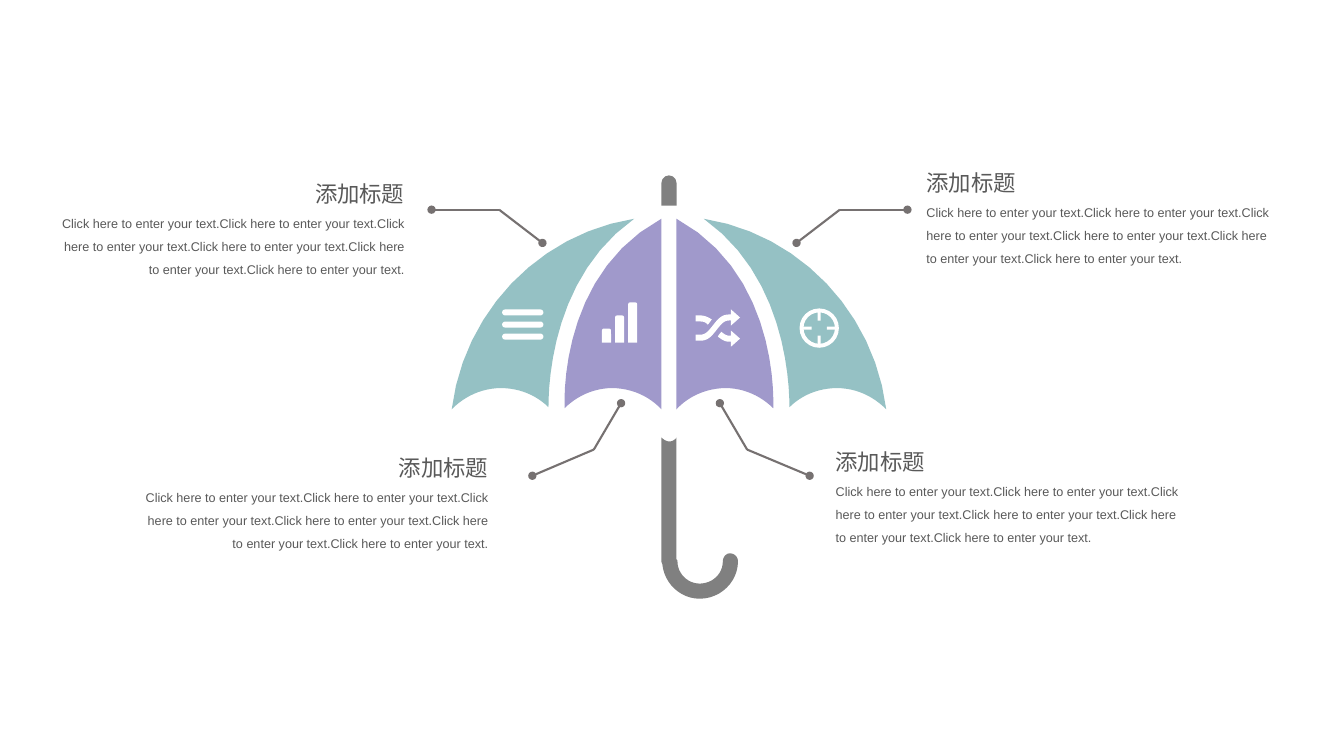
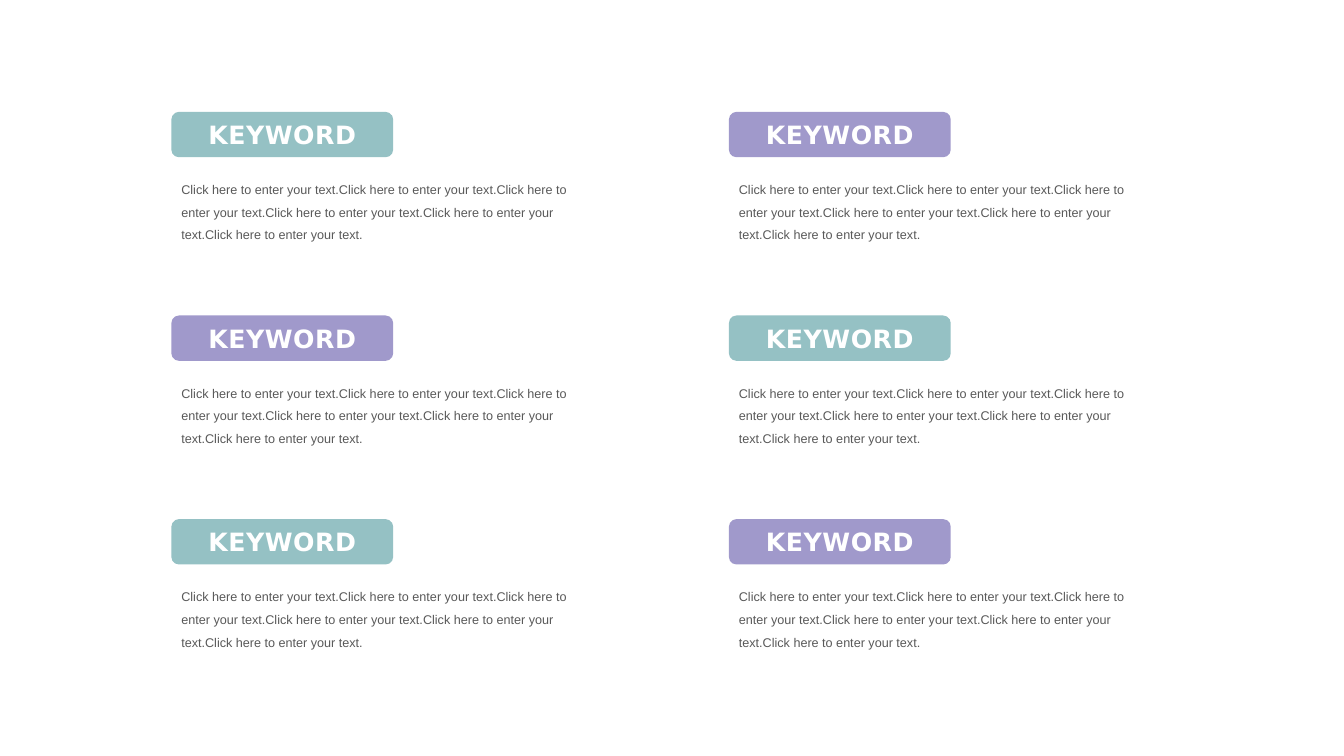
from dataclasses import dataclass
from itertools import product

from lxml import etree
from pptx import Presentation
from pptx.dml.color import RGBColor
from pptx.enum.shapes import MSO_CONNECTOR, MSO_SHAPE
from pptx.enum.text import MSO_ANCHOR, PP_ALIGN
from pptx.oxml.ns import qn
from pptx.util import Pt

PX = 9144  # 100 px to the inch
STEPS = 12  # line segments for each curve
LEFT, MID, RIGHT = PP_ALIGN.LEFT, PP_ALIGN.CENTER, PP_ALIGN.RIGHT
ROUND = MSO_SHAPE.ROUNDED_RECTANGLE
DOME = MSO_SHAPE.ROUND_2_SAME_RECTANGLE
RECT, DONUT = MSO_SHAPE.RECTANGLE, MSO_SHAPE.DONUT
LINE = MSO_CONNECTOR.STRAIGHT


@dataclass(frozen=True)
class Theme:
    teal: str = "95C1C4"
    violet: str = "A099CB"
    grey: str = "808080"
    rule: str = "767171"
    ink: str = "595959"
    white: str = "FFFFFF"
    head: str = "Calibri"
    body: str = "Arial"
    label: str = "DejaVu Sans"
    head_size: int = 16
    body_size: int = 9
    label_size: int = 18
    rule_size: float = 1.5


T = Theme()
TITLE = "添加标题"
BODY = "Click here to enter your text." * 6

# Outlines: a start point, then lines (x, y) and curves (two controls, end)
OUTER = [(49, 211), (30, 211, 13, 219, 0, 232), (12, 136, 86, 58, 181, 43),
         (102, 99, 96, 200, 96, 230), (84, 218, 67, 211, 49, 211)]
INNER = [(159, 211), (141, 211, 124, 219, 112, 231),
         (111, 202, 116, 93, 208, 43), (208, 232),
         (196, 219, 178, 211, 159, 211)]
HANDLE = [(216, 264), (213, 264, 210, 262, 208, 260), (208, 383),
          (208, 384, 209, 385, 209, 386), (211, 405, 227, 420, 246, 420),
          (267, 420, 284, 403, 284, 383), (284, 379, 281, 375, 276, 375),
          (272, 375, 269, 379, 269, 383), (269, 395, 259, 405, 246, 405),
          (234, 405, 224, 395, 224, 383), (224, 382, 224, 382, 223, 381),
          (223, 260), (222, 262, 219, 264, 216, 264)]
SHUFFLE = [
    [(35, 26), (33, 26), (30, 26, 28, 24, 25, 22), (25, 22, 25, 22, 25, 23),
     (24, 24, 23, 25, 22, 27), (25, 29, 28, 32, 33, 32), (35, 32), (35, 37),
     (44, 29), (35, 21)],
    [(12, 15), (12, 15, 13, 14, 13, 14), (14, 13, 15, 11, 16, 10),
     (13, 8, 9, 6, 5, 6), (0, 6), (0, 12), (5, 12), (8, 12, 10, 13, 12, 15)],
    [(33, 11), (35, 11), (35, 16), (44, 8), (35, 0), (35, 5), (33, 5),
     (25, 5, 21, 11, 17, 16), (13, 21, 10, 25, 5, 25), (0, 25), (0, 31),
     (5, 31), (13, 31, 17, 25, 21, 20), (25, 15, 28, 11, 33, 11)]]


def paint(shape, color):
    shape.shadow.inherit = False
    shape.fill.solid()
    shape.fill.fore_color.rgb = RGBColor.from_string(color)
    shape.line.fill.background()


def block(slide, kind, box, color, *adjust):
    shape = slide.shapes.add_shape(kind, *(v * PX for v in box))
    for i, value in enumerate(adjust):
        shape.adjustments[i] = value
    paint(shape, color)
    return shape


def trace(path):
    """Turn an outline into points, with each curve cut into short lines."""
    points = [path[0]]
    for step in path[1:]:
        if len(step) == 2:
            points.append(step)
            continue
        knots = [points[-1], step[:2], step[2:4], step[4:]]
        for i in range(1, STEPS + 1):
            t = i / STEPS
            u = 1 - t
            parts = (u ** 3, 3 * u * u * t, 3 * u * t * t, t ** 3)
            points.append(tuple(sum(p * k[axis] for p, k in zip(parts, knots))
                                for axis in (0, 1)))
    return points


def outline(slide, x, y, paths, color):
    pen = None
    for path in paths:
        first, *rest = [((x + a) * PX, (y + b) * PX) for a, b in trace(path)]
        if pen:
            pen.move_to(*first)
        else:
            pen = slide.shapes.build_freeform(*first)
        pen.add_line_segments(rest, close=True)
    paint(pen.convert_to_shape(), color)


def flip(path, width):
    return [tuple(v if i % 2 else width - v for i, v in enumerate(step))
            for step in path]


def style(para, font, size, color, align, bold=False):
    para.alignment = align
    para.font.name = font
    para.font.size = Pt(size)
    para.font.bold = bold
    para.font.color.rgb = RGBColor.from_string(color)


def write(slide, box, text, font, size, align, wrap=True, lead=1.0):
    frame = slide.shapes.add_textbox(*(v * PX for v in box)).text_frame
    frame.word_wrap = wrap
    para = frame.paragraphs[0]
    para.text = text
    para.line_spacing = lead
    style(para, font, size, T.ink, align)


def body(slide, x, y, width, align=LEFT):
    write(slide, (x, y, width, 78), BODY, T.body, T.body_size, align, lead=1.5)


def note(slide, x, y, align):
    width, head = 368, 110
    start = x + width - head if align == RIGHT else x
    write(slide, (start, y, head, 37), TITLE, T.head, T.head_size, align,
          wrap=False)
    body(slide, x, y + 28, width, align)


def leader(slide, points):
    """Draw a bent line with a dot at each end."""
    for start, stop, end in zip(points, points[1:], ("headEnd", "tailEnd")):
        rule = slide.shapes.add_connector(
            LINE, *(v * PX for v in start + stop))
        rule.line.width = Pt(T.rule_size)
        rule.line.color.rgb = RGBColor.from_string(T.rule)
        props = rule._element.spPr
        etree.SubElement(props.find(qn("a:ln")), qn("a:" + end), type="oval")
        etree.SubElement(props, qn("a:effectLst"))


def menu(slide, x, y):
    for row in range(3):
        block(slide, ROUND, (x, y + 12 * row, 41, 6), T.white, 0.5)


def bars(slide, x, y):
    for i in range(3):
        tall = 14 + 13 * i
        block(slide, DOME, (x + 13 * i, y + 40 - tall, 9, tall), T.white, 0.22)


def shuffle(slide, x, y):
    outline(slide, x, y, SHUFFLE, T.white)


def target(slide, x, y):
    block(slide, DONUT, (x, y, 39, 39), T.white, 0.1)
    for gap in (3, 27):
        block(slide, RECT, (x + 18, y + gap, 3, 9), T.white)
        block(slide, RECT, (x + gap, y + 18, 9, 3), T.white)


def canopy(slide, x, y, width):
    for path, color in ((OUTER, T.teal), (INNER, T.violet)):
        for side in (path, flip(path, width)):
            outline(slide, x, y, [side], color)
    outline(slide, x, y, [HANDLE], T.grey)
    block(slide, DOME, (x + 208, y, 15, 30), T.grey, 0.5)
    for icon, left, top in ((menu, 50, 133), (bars, 149, 126),
                            (shuffle, 242, 133), (target, 345, 132)):
        icon(slide, x + left, y + top)


def umbrella(slide):
    for points in (((790, 241), (833, 208), (900, 208)),
                   ((538, 241), (495, 208), (428, 208)),
                   ((714, 400), (741, 446), (803, 472)),
                   ((616, 400), (589, 446), (528, 472))):
        leader(slide, points)
    canopy(slide, 448, 174, 431)
    for x, y, align in ((909, 163, LEFT), (819, 440, LEFT),
                        (126, 446, RIGHT), (43, 174, RIGHT)):
        note(slide, x, y, align)


def card(slide, x, y, color):
    tag = block(slide, ROUND, (x, y, 220, 45), color)
    tag.text_frame.vertical_anchor = MSO_ANCHOR.MIDDLE
    para = tag.text_frame.paragraphs[0]
    para.text = "KEYWORD"
    style(para, T.label, T.label_size, T.white, MID, bold=True)
    para.runs[0]._r.get_or_add_rPr().set("spc", "40")
    body(slide, x, y + 57, 402)


def cards(slide):
    for col, row in product(range(2), range(3)):
        color = (T.teal, T.violet)[(col + row) % 2]
        card(slide, 170 + 553 * col, 111 + 202 * row, color)


def main():
    deck = Presentation()
    deck.slide_width, deck.slide_height = 1333 * PX, 750 * PX
    for build in (umbrella, cards):
        build(deck.slides.add_slide(deck.slide_layouts[6]))
    deck.save("out.pptx")


if __name__ == "__main__":
    main()
